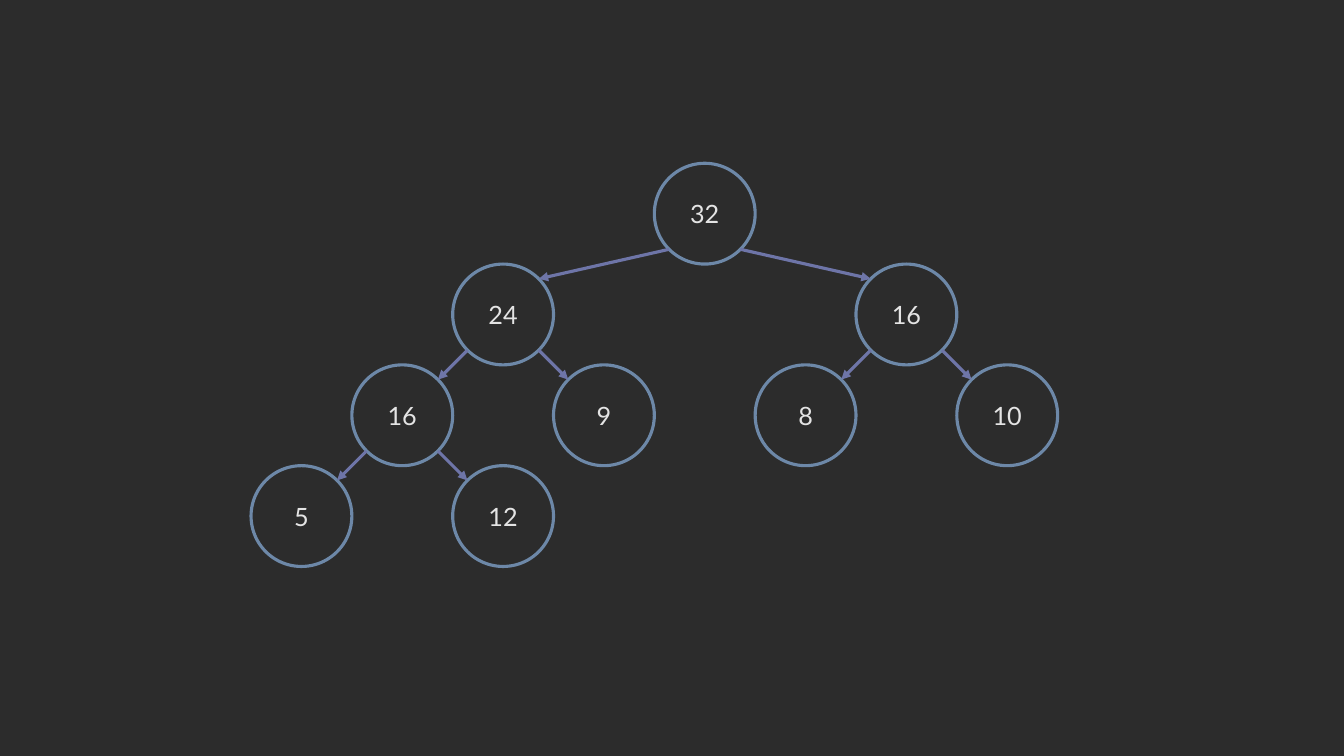
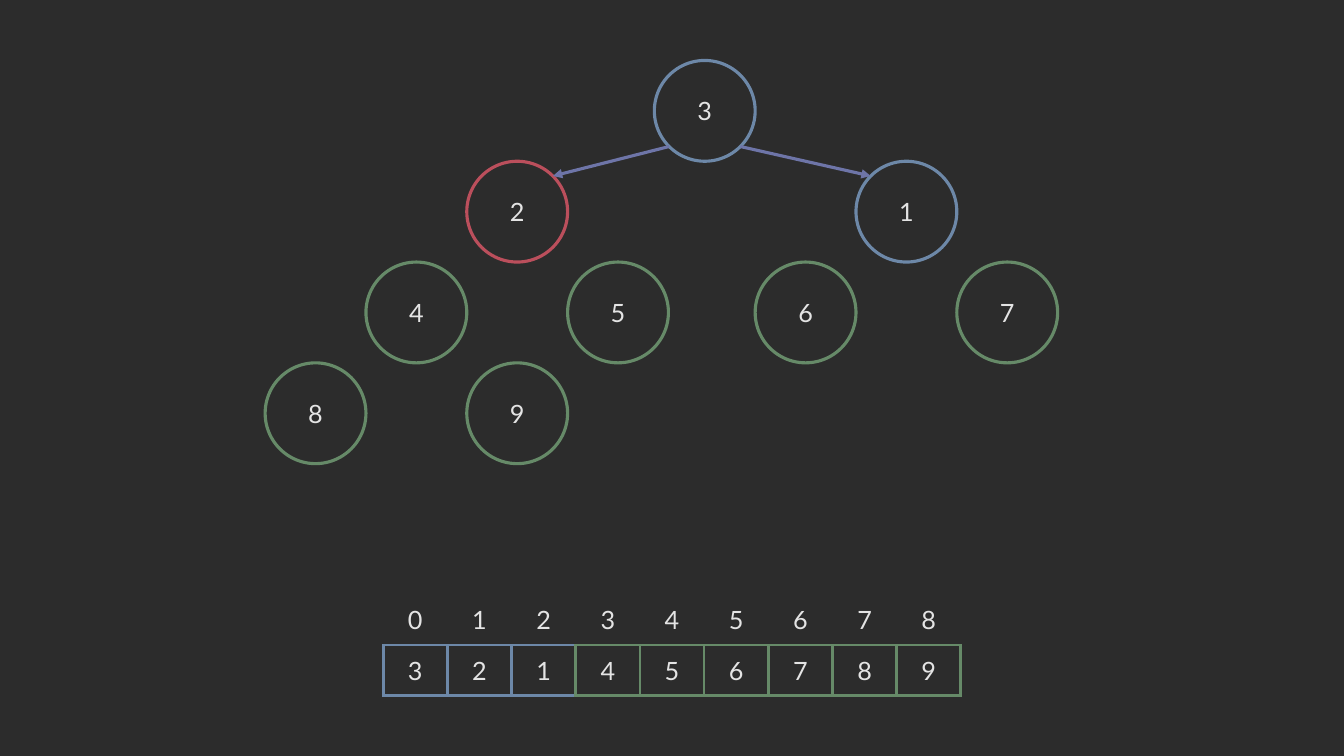
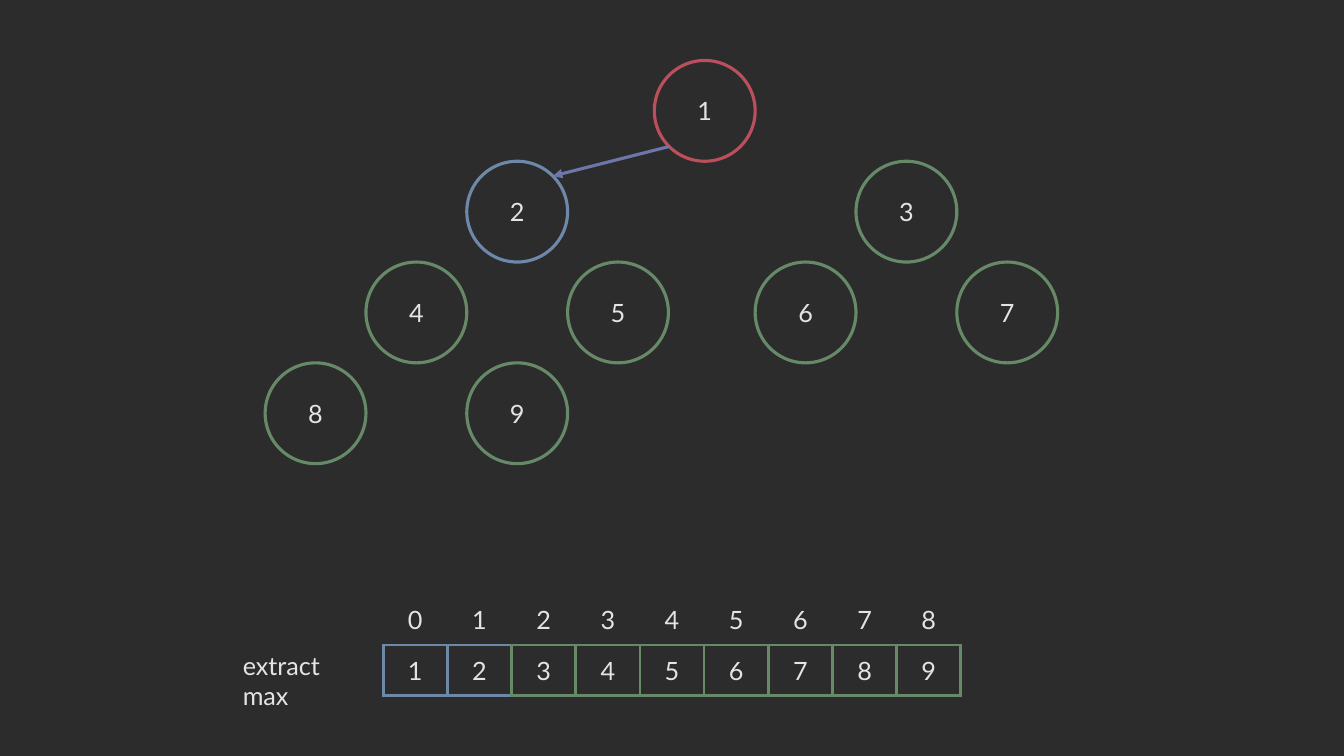
from dataclasses import dataclass
from math import sqrt

from lxml.etree import SubElement
from pptx import Presentation
from pptx.dml.color import RGBColor
from pptx.enum.shapes import MSO_CONNECTOR as Connector, MSO_SHAPE as Shape
from pptx.enum.text import MSO_ANCHOR as Anchor, PP_ALIGN as Align
from pptx.oxml import parse_xml
from pptx.oxml.ns import nsdecls, qn
from pptx.util import Inches, Pt


@dataclass(frozen=True)
class Theme:
    background: str = "2C2C2C"
    text: str = "E4E4E4"
    heap: str = "6D88A8"
    sorted: str = "668A68"
    active: str = "BB4F5C"
    arrow: str = "6E75A8"
    font: str = "Lato"
    size: int = 18
    line: float = 2.25


THEME = Theme()
WIDTH, HEIGHT = 13.33, 7.5
NODE = 1
ROOT_X = 6.99
CORNER = NODE / 2 / sqrt(2)
TABLE_WIDTH, TABLE_TOP, ROW = 5.73, 5.9, 0.5
PLAIN_TABLE = "{2D5ABB26-0587-4C30-8999-92F81FD0307C}"


def write(frame, text, align):
    paragraph = frame.paragraphs[0]
    paragraph.alignment = align
    run = paragraph.add_run()
    run.text = text
    for name, value in {"name": THEME.font, "size": Pt(THEME.size)}.items():
        setattr(run.font, name, value)
    run.font.color.rgb = RGBColor.from_string(THEME.text)


def set_line(line, color):
    line.color.rgb = RGBColor.from_string(color)
    line.width = Pt(THEME.line)


def node_centers(count, root_y, left_shift):
    """Centres of a binary tree in level order; its left half moves by left_shift."""
    centers = [(ROOT_X, root_y)]
    for index in range(1, count):
        x, y = centers[(index - 1) // 2]
        side = -1 if index % 2 else 1
        step = 2 if index < 3 else 1
        shift = left_shift if index == 1 else 0
        centers.append((x + side * step + shift, y + NODE))
    return centers


def add_node(slide, center, value, color):
    x, y = center
    shape = slide.shapes.add_shape(Shape.OVAL, Inches(x - NODE / 2), Inches(y - NODE / 2),
                                   Inches(NODE), Inches(NODE))
    shape.shadow.inherit = False
    shape.fill.background()
    set_line(shape.line, color)
    frame = shape.text_frame
    margins = dict.fromkeys(("margin_left", "margin_top", "margin_right", "margin_bottom"), 0)
    for name, value_set in {**margins, "vertical_anchor": Anchor.MIDDLE}.items():
        setattr(frame, name, value_set)
    write(frame, str(value), Align.CENTER)


def add_arrow(slide, parent, child):
    """Join the lower corner of the parent to the facing upper corner of the child."""
    side = CORNER if child[0] > parent[0] else -CORNER
    ends = (parent[0] + side, parent[1] + CORNER, child[0] - side, child[1] - CORNER)
    arrow = slide.shapes.add_connector(Connector.STRAIGHT, *map(Inches, ends))
    set_line(arrow.line, THEME.arrow)
    SubElement(arrow.line._get_or_add_ln(), qn("a:tailEnd"), type="triangle")
    SubElement(arrow._element.spPr, qn("a:effectLst"))


def add_tree(slide, values, heap_size, root_y, left_shift=0, active=None):
    centers = node_centers(len(values), root_y, left_shift)
    for index, (center, value) in enumerate(zip(centers, values)):
        color = THEME.active if index == active else state_color(index, heap_size)
        add_node(slide, center, value, color)
        if 0 < index < heap_size:
            add_arrow(slide, centers[(index - 1) // 2], center)


def state_color(index, heap_size):
    return THEME.heap if index < heap_size else THEME.sorted


def set_borders(cell, colors):
    """Draw the sides in colors, given in the order L, R, T, B."""
    properties = cell._tc.get_or_add_tcPr()
    for position, (side, color) in enumerate(colors.items()):
        properties.insert(position, parse_xml(
            f'<a:ln{side} {nsdecls("a")} w="{Pt(THEME.line)}"><a:solidFill>'
            f'<a:srgbClr val="{color}"/></a:solidFill></a:ln{side}>'))


def add_array(slide, values, heap_size):
    """Table of indexes above their values."""
    table = slide.shapes.add_table(
        2, len(values), Inches((WIDTH - TABLE_WIDTH) / 2), Inches(TABLE_TOP),
        Inches(TABLE_WIDTH), Inches(2 * ROW)).table
    table.first_row = table.horz_banding = False
    table._tbl.tblPr.find(qn("a:tableStyleId")).text = PLAIN_TABLE
    for index, value in enumerate(values):
        color = state_color(index, heap_size)
        following = state_color(index + 1, heap_size)
        borders = ({"B": color}, {"L": color, "R": following, "T": color, "B": color})
        for row, (text, colors) in enumerate(zip((index, value), borders)):
            cell = table.cell(row, index)
            cell.fill.background()
            cell.vertical_anchor = Anchor.MIDDLE
            write(cell.text_frame, str(text), Align.CENTER)
            set_borders(cell, colors)


def add_label(slide, text):
    box = slide.shapes.add_textbox(Inches(2.31), Inches(TABLE_TOP + ROW), Inches(1.4), Inches(0.7))
    box.text_frame.word_wrap = True
    write(box.text_frame, text, Align.LEFT)


def main():
    presentation = Presentation()
    presentation.slide_width, presentation.slide_height = Inches(WIDTH), Inches(HEIGHT)
    background = presentation.slide_master.background.fill
    background.solid()
    background.fore_color.rgb = RGBColor.from_string(THEME.background)
    blank = presentation.slide_layouts[6]

    slide = presentation.slides.add_slide(blank)
    heap = [32, 24, 16, 16, 9, 8, 10, 5, 12]
    add_tree(slide, heap, len(heap), root_y=2.12)

    steps = [([3, 2, 1, 4, 5, 6, 7, 8, 9], 3, 1, None),
             ([1, 2, 3, 4, 5, 6, 7, 8, 9], 2, 0, "extract max")]
    for values, heap_size, active, label in steps:
        slide = presentation.slides.add_slide(blank)
        add_tree(slide, values, heap_size, root_y=1.1, left_shift=0.14, active=active)
        add_array(slide, values, heap_size)
        if label:
            add_label(slide, label)

    presentation.save("out.pptx")


if __name__ == "__main__":
    main()
